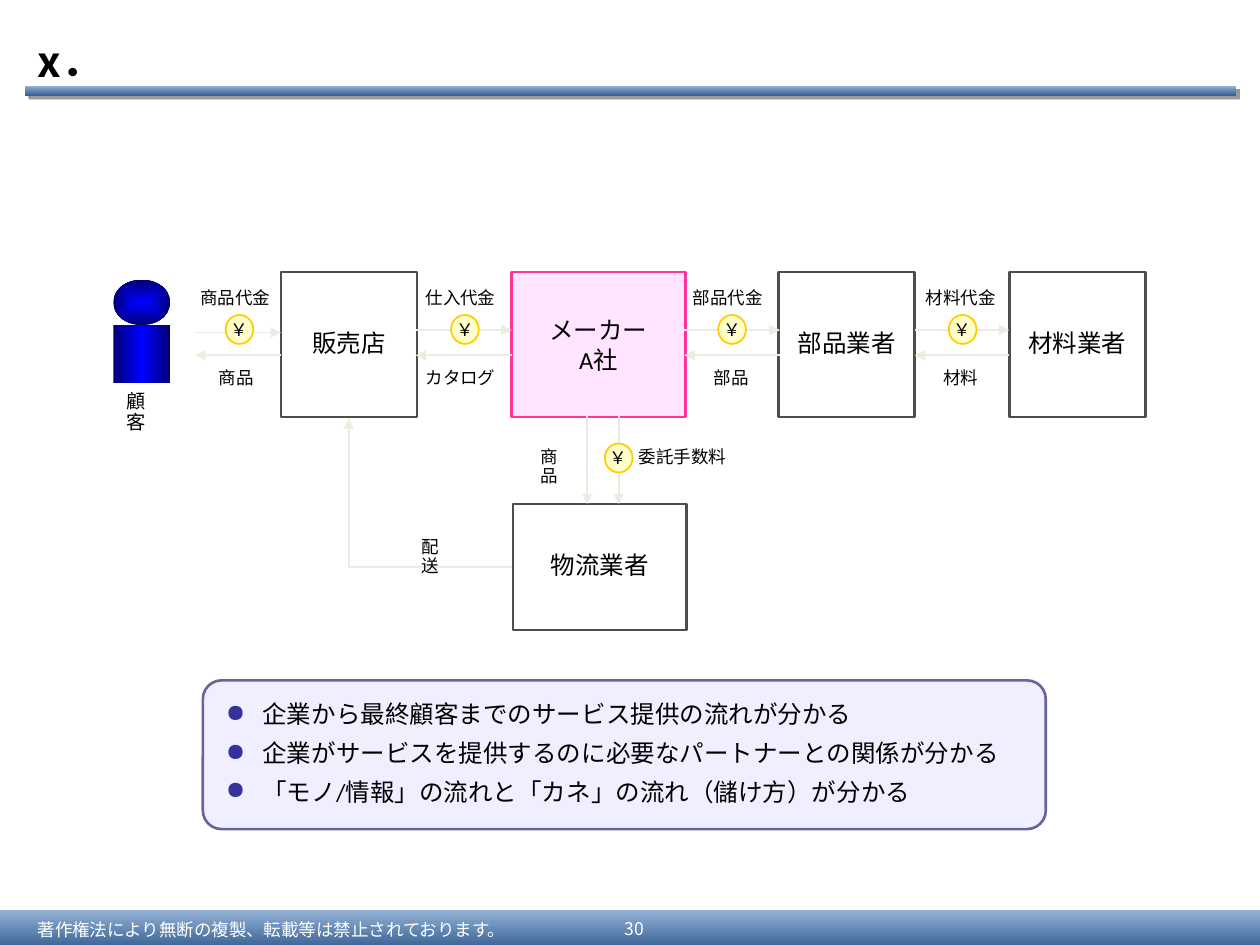
from lxml import etree
from pptx import Presentation
from pptx.dml.color import RGBColor
from pptx.enum import shapes, text
from pptx.oxml import ns
from pptx.util import Inches, Pt

SANS = "Calibri"
GOTHIC = "Noto Sans CJK JP"

BLACK = RGBColor(0x00, 0x00, 0x00)
INK = RGBColor(0x01, 0x00, 0x00)
WHITE = RGBColor(0xFF, 0xFF, 0xFF)
GRAY = RGBColor(0x4D, 0x4D, 0x4D)
PINK = RGBColor(0xFF, 0xCC, 0xFF)
ROSE = RGBColor(0xFF, 0x33, 0x99)
CREAM = RGBColor(0xFF, 0xFF, 0xCC)
GOLD = RGBColor(0xFF, 0xCC, 0x00)
SAND = RGBColor(0xEE, 0xEC, 0xE1)
LILAC = RGBColor(0xCC, 0xCC, 0xFF)
PURPLE = RGBColor(0x66, 0x66, 0x99)
INDIGO = RGBColor(0x33, 0x33, 0x99)
STEEL = RGBColor(0x37, 0x60, 0x92)
SKY = RGBColor(0x95, 0xB3, 0xD7)
BLUE = RGBColor(0x00, 0x00, 0xFF)
NAVY = RGBColor(0x00, 0x00, 0x76)

KIND = shapes.MSO_SHAPE
LINK = shapes.MSO_CONNECTOR
MID = text.MSO_ANCHOR.MIDDLE
TOP = text.MSO_ANCHOR.TOP
LOW = text.MSO_ANCHOR.BOTTOM
LEFT = text.PP_ALIGN.LEFT
CENTER = text.PP_ALIGN.CENTER


def sub(node, tag, **attrs):
    child = etree.SubElement(node, ns.qn(tag))
    for key, val in attrs.items():
        child.set(key, str(val))
    return child


def shape(slide, kind, box, fill=None, edge=None, width=1.5, alpha=None):
    item = slide.shapes.add_shape(kind, *map(Inches, box))
    item.shadow.inherit = False
    if fill is not None:
        item.fill.solid()
        item.fill.fore_color.rgb = fill
    if alpha:
        color = item.element.spPr.find(".//" + ns.qn("a:srgbClr"))
        sub(color, "a:alpha", val=alpha * 1000)
    if edge is None:
        item.line.fill.background()
    else:
        item.line.color.rgb = edge
        item.line.width = Pt(width)
    return item


def shade(item, stops, angle=None):
    """Fill with a gradient: linear at an angle, or from the centre if None."""
    geom = item.element.spPr.find(ns.qn("a:prstGeom"))
    grad = etree.Element(ns.qn("a:gradFill"), rotWithShape="1")
    row = sub(grad, "a:gsLst")
    for place, color in stops:
        sub(sub(row, "a:gs", pos=place * 1000), "a:srgbClr", val=color)
    if angle is None:
        way = sub(grad, "a:path", path="rect")
        sub(way, "a:fillToRect", l=50000, t=50000, r=50000, b=50000)
    else:
        sub(grad, "a:lin", ang=angle * 60000, scaled=1)
    geom.addnext(grad)


def frame(item, anchor, pad=(0.1, 0.05), wrap=False):
    body = item.text_frame
    body.word_wrap = wrap
    body.vertical_anchor = anchor
    body.margin_left = body.margin_right = Inches(pad[0])
    body.margin_top = body.margin_bottom = Inches(pad[1])
    return body


def write(para, words, size, font=GOTHIC, color=BLACK, bold=False, align=CENTER):
    para.alignment = align
    for num, line in enumerate(words.split("\n")):
        if num:
            para.add_line_break()
        run = para.add_run()
        run.text = line
        run.font.size = Pt(size)
        run.font.name = font
        run.font.bold = bold
        run.font.color.rgb = color
        sub(run.font._element, "a:ea", typeface=GOTHIC)


def label(slide, words, box, anchor=TOP, size=10, pad=(0.1, 0.05), wrap=False,
          space=0.9, **style):
    item = slide.shapes.add_textbox(*map(Inches, box))
    para = frame(item, anchor, pad, wrap).paragraphs[0]
    para.line_spacing = space
    write(para, words, size, **style)


def party(slide, words, box, fill=WHITE, edge=GRAY, alpha=None, space=0.9):
    item = shape(slide, KIND.RECTANGLE, box, fill, edge, alpha=alpha)
    para = frame(item, MID).paragraphs[0]
    para.line_spacing = space
    write(para, words, 14, SANS)


def coin(slide, left, top):
    item = shape(slide, KIND.OVAL, (left, top, 0.22, 0.23), CREAM, GOLD, 1)
    write(frame(item, MID, (0.04, 0.04)).paragraphs[0], "￥", 10, SANS)


def arrow(slide, start, end, width=1, kind=LINK.STRAIGHT):
    item = slide.shapes.add_connector(kind, *map(Inches, start + end))
    item.line.color.rgb = SAND
    item.line.width = Pt(width)
    props = item.element.spPr
    sub(props.find(ns.qn("a:ln")), "a:tailEnd", type="triangle")
    sub(props, "a:effectLst")
    if kind == LINK.ELBOW:
        props.find(ns.qn("a:prstGeom")).set("prst", "bentConnector2")


def person(slide):
    head = shape(slide, KIND.OVAL, (0.9, 2.22, 0.45, 0.36))
    shade(head, [(0, BLUE), (100, NAVY)])
    trunk = shape(slide, KIND.RECTANGLE, (0.9, 2.58, 0.45, 0.46))
    shade(trunk, [(0, NAVY), (50, BLUE), (100, NAVY)], 0)
    label(slide, "顧客", (0.83, 3.06, 0.5, 0.27), size=11)


def trade(slide, left, right, pay, goods, pay_x, goods_x, coin_x, pay_y=2.62):
    """Money goes right along the upper arrow, goods come back below."""
    arrow(slide, (left, pay_y), (right, pay_y))
    arrow(slide, (right, 2.82), (left, 2.82))
    label(slide, pay, (pay_x - 0.38, 2.25, 0.75, 0.25), LOW)
    label(slide, goods, (goods_x - 0.38, 2.88, 0.75, 0.25))
    coin(slide, coin_x, 2.5)


def points(slide, lines):
    panel = shape(slide, KIND.ROUNDED_RECTANGLE, (1.61, 5.4, 6.69, 1.18),
                  LILAC, PURPLE, alpha=30)
    panel.adjustments[0] = 0.125
    body = frame(panel, MID, wrap=True)
    body.margin_left = Inches(0.14)
    for num, line in enumerate(lines):
        para = body.add_paragraph() if num else body.paragraphs[0]
        props = para._p.get_or_add_pPr()
        props.set("marL", str(Inches(0.29)))
        props.set("indent", str(Inches(-0.29)))
        sub(sub(props, "a:buClr"), "a:srgbClr", val=INDIGO)
        sub(props, "a:buChar", char="●")
        para.line_spacing = 0.9
        para.space_after = Pt(1.8)
        if num:
            para.space_before = Pt(5.2)
        write(para, line, 14, SANS, INK, align=LEFT)


def bands(slide):
    foot = shape(slide, KIND.RECTANGLE, (0, 7.22, 10, 0.31))
    rule = shape(slide, KIND.RECTANGLE, (0.2, 0.68, 9.61, 0.08))
    for band in (foot, rule):
        shade(band, [(0, STEEL), (100, SKY)], 270)
    effects = rule.element.spPr.find(ns.qn("a:effectLst"))
    cast = sub(effects, "a:outerShdw", blurRad=0, dist=Pt(3), dir=45 * 60000,
               algn="tl", rotWithShape=0)
    sub(sub(cast, "a:srgbClr", val=BLACK), "a:alpha", val=40000)
    style = dict(anchor=MID, pad=(0.1, 0.04), color=WHITE, space=1.0)
    label(slide, "著作権法により無断の複製、転載等は禁止されております。",
          (0.2, 7.25, 4.25, 0.25), align=LEFT, wrap=True, **style)
    label(slide, "30", (4.76, 7.23, 0.55, 0.28), **style)


def main():
    deck = Presentation()
    deck.slide_width, deck.slide_height = Inches(10), Inches(7.5)
    slide = deck.slides.add_slide(deck.slide_layouts[6])

    bands(slide)
    label(slide, "x．", (0.2, 0.21, 9.8, 0.54), MID, 24, wrap=True, space=1.0,
          bold=True, align=LEFT)
    for words, left in (("販売店", 2.23), ("部品業者", 6.18), ("材料業者", 8.01)):
        party(slide, words, (left, 2.16, 1.08, 1.15))
    party(slide, "メーカー\nA社", (4.06, 2.16, 1.38, 1.15), PINK, ROSE, 50, 1.0)
    party(slide, "物流業者", (4.07, 4, 1.38, 1))
    person(slide)

    trade(slide, 1.55, 2.23, "商品代金", "商品", 1.87, 1.88, 1.79, 2.64)
    trade(slide, 3.3, 4.06, "仕入代金", "カタログ", 3.66, 3.66, 3.58)
    trade(slide, 5.43, 6.19, "部品代金", "部品", 5.78, 5.81, 5.7)
    trade(slide, 7.26, 8.01, "材料代金", "材料", 7.63, 7.63, 7.53)

    for x in (4.66, 4.91):
        arrow(slide, (x, 3.3), (x, 4))
    coin(slide, 4.8, 3.52)
    label(slide, "商品", (4.12, 3.51, 0.47, 0.25))
    label(slide, "委託手数料", (4.97, 3.51, 0.89, 0.25))
    arrow(slide, (4.06, 4.5), (2.77, 3.32), 0.75, LINK.ELBOW)
    label(slide, "配送", (3.18, 4.22, 0.47, 0.25))

    points(slide, ["企業から最終顧客までのサービス提供の流れが分かる",
                   "企業がサービスを提供するのに必要なパートナーとの関係が分かる",
                   "「モノ/情報」の流れと「カネ」の流れ（儲け方）が分かる"])
    deck.save("out.pptx")


if __name__ == "__main__":
    main()
